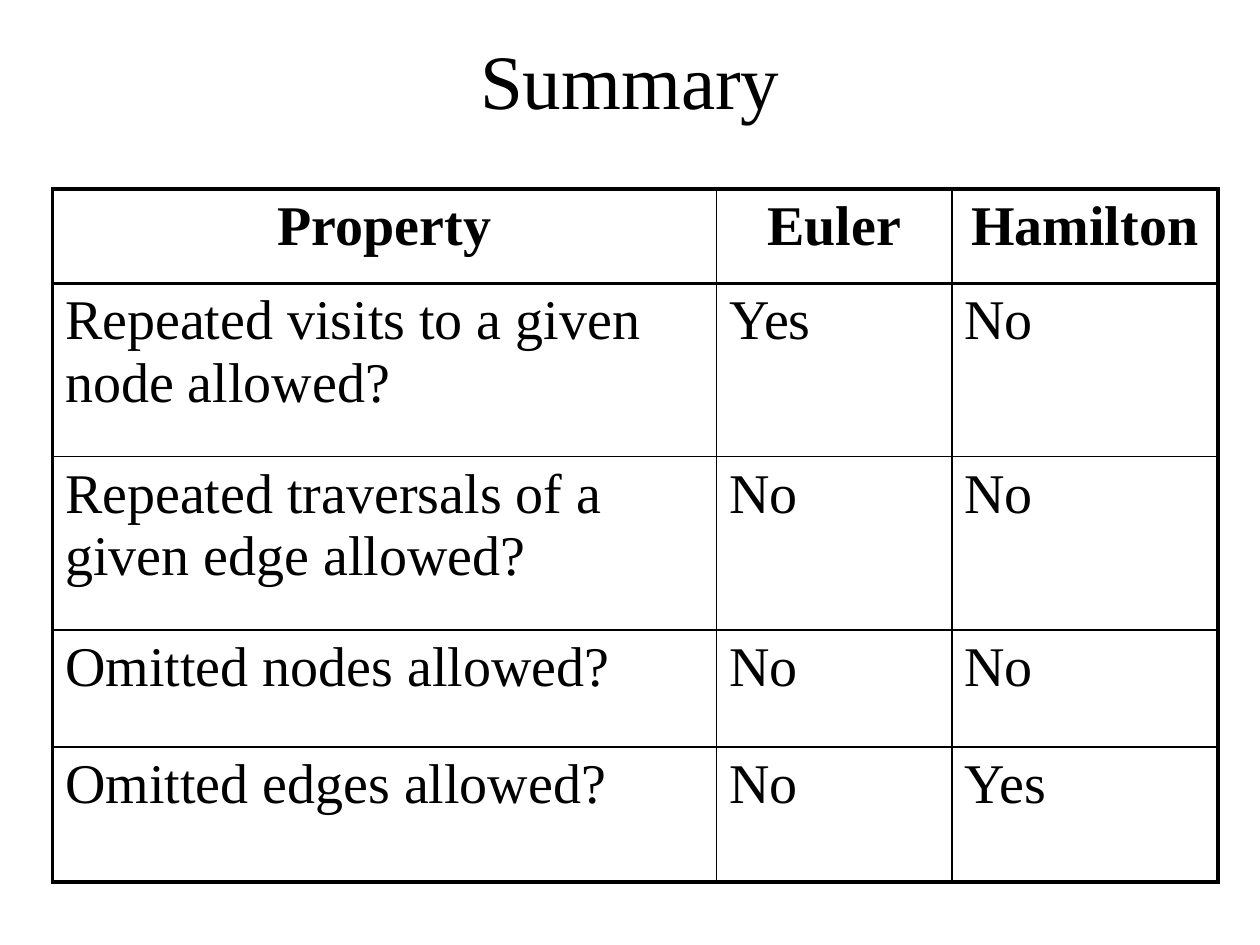
from pptx import Presentation
from pptx.dml.color import RGBColor
from pptx.enum.text import MSO_ANCHOR, PP_ALIGN
from pptx.oxml.ns import qn
from pptx.util import Pt
from lxml.etree import SubElement

# Content
TITLE = "Summary"
ROWS = [
    ("Property", "Euler", "Hamilton"),
    ("Repeated visits to a given node allowed?", "Yes", "No"),
    ("Repeated traversals of a given edge allowed?", "No", "No"),
    ("Omitted nodes allowed?", "No", "No"),
    ("Omitted edges allowed?", "No", "Yes"),
]

# Layout and format, in points
TITLE_BOX = (36, 12, 648, 66)
TABLE_LEFT, TABLE_TOP = 30, 108
COL_WIDTHS = (379.5, 134.5, 152)
ROW_HEIGHTS = (54, 99, 99, 67, 77)
THICK, THIN = 2.25, 1
INK = "000000"
TITLE_FONT = {"name": "Times New Roman", "size": Pt(44), "bold": False}
HEAD_FONT = {"name": "Times New Roman", "size": Pt(32), "bold": True}
BODY_FONT = {**HEAD_FONT, "bold": False}


def color(hex_text):
    return RGBColor.from_string(hex_text)


def write(tf, text, font, align):
    p = tf.paragraphs[0]
    p.alignment = align
    r = p.add_run()
    r.text = text
    for name, value in font.items():
        setattr(r.font, name, value)
    r.font.color.rgb = color(INK)


def add_borders(cell, widths):
    tc_pr = cell._tc.get_or_add_tcPr()
    for side, width in widths.items():
        ln = SubElement(tc_pr, qn(f"a:ln{side}"), w=str(Pt(width)))
        fill = SubElement(ln, qn("a:solidFill"))
        SubElement(fill, qn("a:srgbClr"), val=INK)


prs = Presentation()
prs.slide_width, prs.slide_height = Pt(720), Pt(540)
s = prs.slides.add_slide(prs.slide_layouts[6])

# Title
sp = s.shapes.add_textbox(*map(Pt, TITLE_BOX))
tf = sp.text_frame
tf.word_wrap = True
tf.vertical_anchor = MSO_ANCHOR.MIDDLE
write(tf, TITLE, TITLE_FONT, PP_ALIGN.CENTER)

# Table
table = s.shapes.add_table(
    len(ROWS), len(COL_WIDTHS), Pt(TABLE_LEFT), Pt(TABLE_TOP),
    Pt(sum(COL_WIDTHS)), Pt(sum(ROW_HEIGHTS))).table
table.first_row = table.horz_banding = False
for column, width in zip(table.columns, COL_WIDTHS):
    column.width = Pt(width)
for row, height in zip(table.rows, ROW_HEIGHTS):
    row.height = Pt(height)

# Cells: thick frame and header rule, thin lines between
last_row, last_col = len(ROWS) - 1, len(COL_WIDTHS) - 1
for i, row in enumerate(ROWS):
    for j, text in enumerate(row):
        cell = table.cell(i, j)
        add_borders(cell, {
            "L": THICK if j == 0 else THIN,
            "R": THICK if j == last_col else THIN,
            "T": THICK if i in (0, 1) else THIN,
            "B": THICK if i in (0, last_row) else THIN,
        })
        cell.fill.background()
        if i == 0:
            write(cell.text_frame, text, HEAD_FONT, PP_ALIGN.CENTER)
        else:
            write(cell.text_frame, text, BODY_FONT, PP_ALIGN.LEFT)

prs.save("out.pptx")
